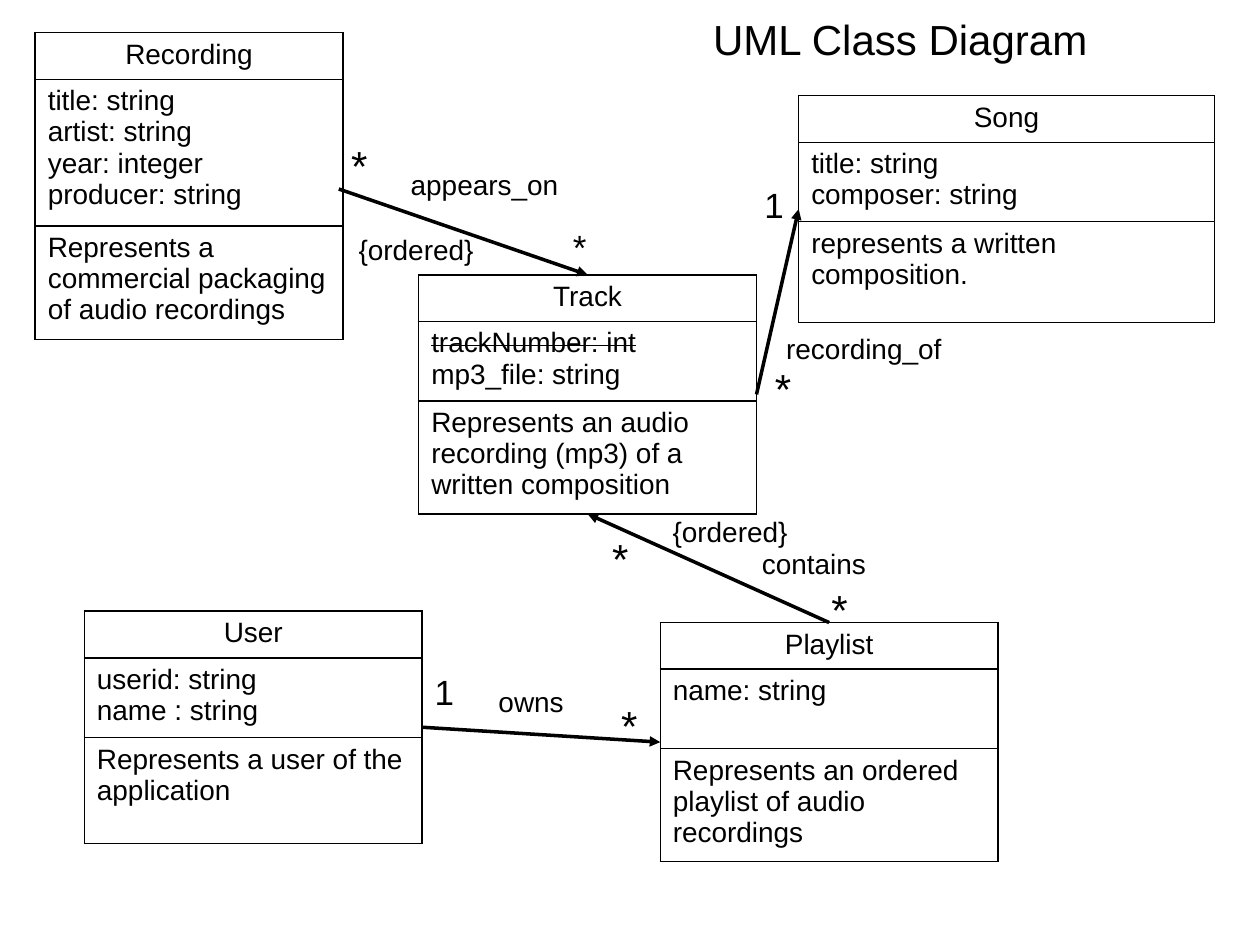
from dataclasses import dataclass

from lxml import etree
from pptx import Presentation
from pptx.dml.color import RGBColor
from pptx.enum.shapes import MSO_CONNECTOR
from pptx.enum.text import MSO_AUTO_SIZE, PP_ALIGN
from pptx.oxml.ns import qn
from pptx.util import Cm, Pt

STRAIGHT = MSO_CONNECTOR.STRAIGHT
FIT_SHAPE = MSO_AUTO_SIZE.SHAPE_TO_FIT_TEXT
CENTER = PP_ALIGN.CENTER
LEFT = PP_ALIGN.LEFT


@dataclass(frozen=True)
class Theme:
    font: str = "Arial"
    ink: RGBColor = RGBColor(0, 0, 0)
    paper: RGBColor = RGBColor(255, 255, 255)
    title: int = 24
    body: int = 16
    star: int = 24
    digit: int = 20
    border: int = 1
    arrow: int = 2


THEME = Theme()
NAME_HEIGHT = 0.94


@dataclass(frozen=True)
class UmlClass:
    name: str
    left: float
    top: float
    width: float
    attributes_height: float
    purpose_height: float
    attributes: tuple
    purpose: str
    removed: tuple = ()

    @property
    def heights(self):
        return NAME_HEIGHT, self.attributes_height, self.purpose_height

    def side(self, name):
        height = sum(self.heights)
        across, down = {"left": (0, 0.5), "right": (1, 0.5),
                        "top": (0.5, 0), "bottom": (0.5, 1)}[name]
        return self.left + across * self.width, self.top + down * height


RECORDING = UmlClass(
    "Recording", 0.71, 0.66, 6.2, 2.96, 2.28,
    ("title: string", "artist: string", "year: integer", "producer: string"),
    "Represents a commercial packaging of audio recordings")
SONG = UmlClass(
    "Song", 16.1, 1.93, 8.38, 1.6, 2.03,
    ("title: string", "composer: string"),
    "represents a written composition.")
TRACK = UmlClass(
    "Track", 8.44, 5.54, 6.81, 1.6, 2.28,
    ("trackNumber: int", "mp3_file: string"),
    "Represents an audio recording (mp3) of a written composition",
    ("trackNumber: int",))
USER = UmlClass(
    "User", 1.7, 12.32, 6.81, 1.61, 2.13,
    ("userid: string", "name : string"),
    "Represents a user of the application")
PLAYLIST = UmlClass(
    "Playlist", 13.31, 12.55, 6.81, 1.6, 2.28,
    ("name: string",),
    "Represents an ordered playlist of audio recordings")

CLASSES = (RECORDING, SONG, TRACK, USER, PLAYLIST)

ASSOCIATIONS = (
    (USER.side("right"), PLAYLIST.side("left")),
    (PLAYLIST.side("top"), TRACK.side("bottom")),
    (TRACK.side("right"), SONG.side("left")),
    ((6.83, 3.81), TRACK.side("top")),
)

LABELS = (
    (" UML Class Diagram", THEME.title, 13.89, 0.15, 8.38, 1.27),
    ("owns", THEME.body, 9.8, 13.67, 1.83, 0.94),
    ("contains", THEME.body, 15.11, 10.9, 2.64, 0.94),
    ("recording_of", THEME.body, 15.6, 6.55, 3.68, 0.94),
    ("appears_on", THEME.body, 8.03, 3.25, 3.53, 0.94),
    ("{ordered}", THEME.body, 13.31, 10.24, 2.87, 0.94),
    ("{ordered}", THEME.body, 6.98, 4.57, 2.87, 0.94),
    ("1", THEME.digit, 8.51, 13.39, 0.91, 1.12),
    ("1", THEME.digit, 15.16, 3.58, 0.91, 1.12),
    ("*", THEME.digit, 11.3, 4.42, 0.79, 1.12),
    ("*", THEME.star, 12.27, 13.97, 0.84, 1.27),
    ("*", THEME.star, 12.09, 10.62, 0.84, 1.27),
    ("*", THEME.star, 16.51, 11.63, 0.84, 1.27),
    ("*", THEME.star, 15.37, 7.19, 0.84, 1.27),
    ("*", THEME.star, 6.83, 2.69, 0.84, 1.27),
)


def add_text(paragraph, text, size, align=LEFT, struck=False):
    paragraph.alignment = align
    run = paragraph.add_run()
    run.text = text
    run.font.name = THEME.font
    run.font.size = Pt(size)
    run.font.color.rgb = THEME.ink
    if struck:
        run.font._element.set("strike", "sngStrike")


def add_border(cell):
    properties = cell._tc.get_or_add_tcPr()
    for edge in ("a:lnL", "a:lnR", "a:lnT", "a:lnB"):
        line = etree.SubElement(properties, qn(edge), w=str(Pt(THEME.border)))
        fill = etree.SubElement(line, qn("a:solidFill"))
        etree.SubElement(fill, qn("a:srgbClr"), val=str(THEME.ink))


def fill_cell(cell, lines, align=LEFT, removed=()):
    add_border(cell)
    cell.fill.solid()
    cell.fill.fore_color.rgb = THEME.paper
    frame = cell.text_frame
    for index, line in enumerate(lines):
        paragraph = frame.add_paragraph() if index else frame.paragraphs[0]
        add_text(paragraph, line, THEME.body, align, line in removed)


def add_class(slide, uml):
    table = slide.shapes.add_table(
        3, 1, Cm(uml.left), Cm(uml.top), Cm(uml.width), Cm(sum(uml.heights))).table
    table.first_row = False
    table.horz_banding = False
    for row, height in zip(table.rows, uml.heights):
        row.height = Cm(height)
    fill_cell(table.cell(0, 0), (uml.name,), CENTER)
    fill_cell(table.cell(1, 0), uml.attributes, removed=uml.removed)
    fill_cell(table.cell(2, 0), (uml.purpose,))


def add_association(slide, start, end):
    arrow = slide.shapes.add_connector(STRAIGHT, *map(Cm, start + end))
    arrow.line.color.rgb = THEME.ink
    arrow.line.width = Pt(THEME.arrow)
    etree.SubElement(arrow.line._get_or_add_ln(), qn("a:tailEnd"), type="triangle")
    etree.SubElement(arrow._element.spPr, qn("a:effectLst"))


def add_label(slide, text, size, *bounds):
    frame = slide.shapes.add_textbox(*map(Cm, bounds)).text_frame
    frame.word_wrap = False
    frame.auto_size = FIT_SHAPE
    add_text(frame.paragraphs[0], text, size)


def main():
    deck = Presentation()
    deck.slide_width = Cm(25.4)
    deck.slide_height = Cm(19.05)
    slide = deck.slides.add_slide(deck.slide_layouts[6])
    for uml in CLASSES:
        add_class(slide, uml)
    for start, end in ASSOCIATIONS:
        add_association(slide, start, end)
    for label in LABELS:
        add_label(slide, *label)
    deck.save("out.pptx")


main()
